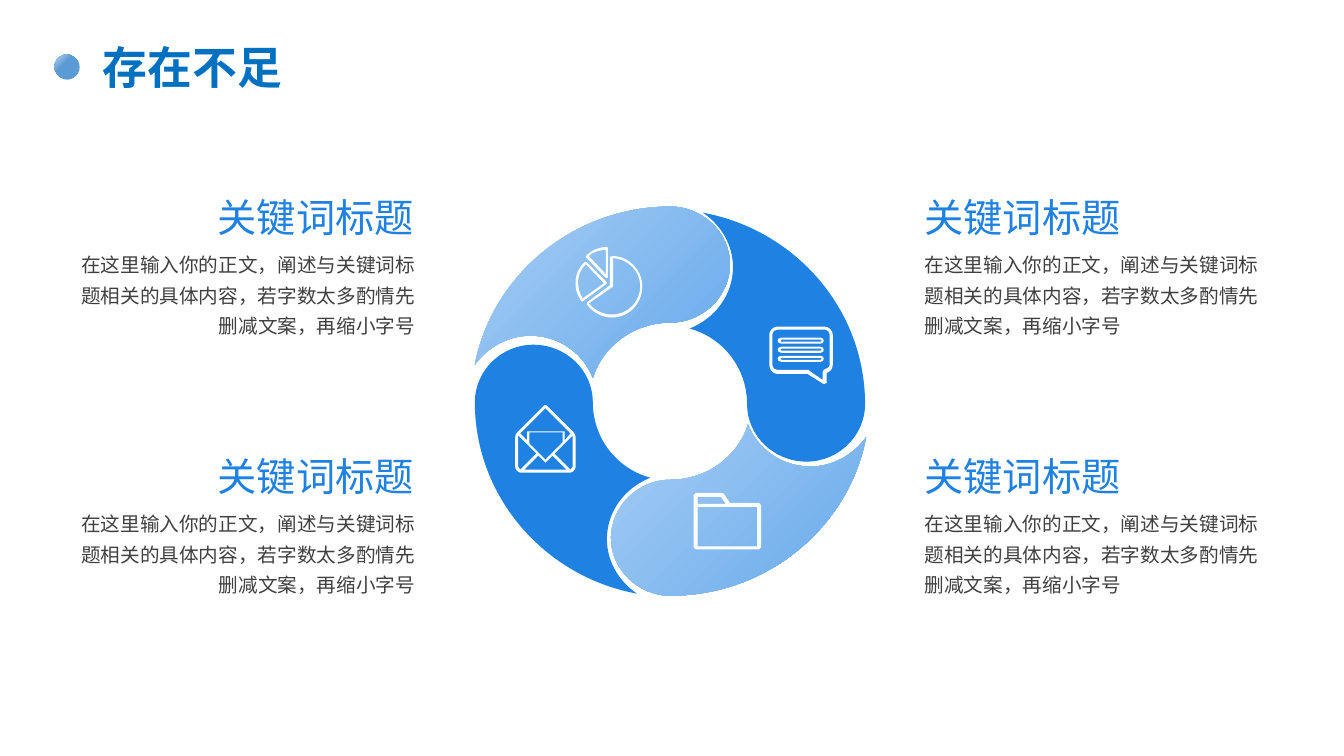
from lxml.etree import SubElement
from pptx import Presentation
from pptx.dml.color import RGBColor
from pptx.enum.shapes import MSO_SHAPE
from pptx.enum.text import MSO_ANCHOR, MSO_AUTO_SIZE, PP_ALIGN
from pptx.oxml.ns import qn
from pptx.util import Pt

PX = 9144  # EMU per px, 100 px to the inch
SLIDE_W, SLIDE_H = 1333, 750
FONT = "Noto Sans CJK SC"
COLORS = {
    "title": "0070C0", "accent": "1F81E2", "body": "404040", "icon": "FFFFFF",
    "pale": "A6CDF4", "sky": "6BACEC", "dot_pale": "BDD7EE", "dot": "5B9BD5",
}
DOT_STOPS = [(0, "dot_pale"), (38, "dot"), (85, "dot")]
PETAL_STOPS = [(6, "sky"), (100, "pale")]

TITLE = "存在不足"
KEYWORD = "关键词标题"
DETAIL = "在这里输入你的正文，阐述与关键词标题相关的具体内容，若字数太多酌情先删减文案，再缩小字号"
# heading left, heading width, detail left, detail alignment
COLUMNS = [(216, 216, 76, PP_ALIGN.RIGHT), (917, 229, 917, PP_ALIGN.LEFT)]
ROW_TOPS = [192, 449]
DETAIL_DROP, DETAIL_W, DETAIL_H, HEADING_H = 52, 336, 90, 42

# In a contour, a pair is a straight line's end and six numbers are a Bezier curve.
BOTTOM_PETAL = [
    (665, 476), (633, 476, 606, 502, 606, 534), (606, 565, 633, 591, 665, 591),
    (761, 591, 842, 523, 859, 434), (847, 451, 826, 463, 804, 463),
    (775, 463, 751, 445, 742, 421), (732, 453, 701, 476, 665, 476)]
LEFT_PETAL = [
    (588, 399), (588, 368, 562, 342, 529, 342), (497, 342, 471, 368, 471, 399),
    (471, 493, 540, 572, 632, 589), (614, 577, 602, 557, 602, 535),
    (602, 507, 620, 484, 645, 474), (612, 465, 588, 435, 588, 399)]
# petal, sum of its coordinates and those of its half-turned partner, gradient or not
PETAL_PAIRS = [(BOTTOM_PETAL, (1330, 796), True), (LEFT_PETAL, (1329, 800), False)]

ENVELOPE = [
    [(540, 402), (513, 429), (512, 430, 511, 432, 511, 434), (511, 463),
     (511, 466, 514, 469, 517, 469), (565, 469), (568, 469, 571, 466, 571, 463),
     (571, 434), (571, 432, 570, 430, 569, 429), (542, 402)],
    [(568, 434), (568, 463), (566, 466), (550, 450), (568, 432)],
    [(514, 463), (514, 432), (532, 450), (516, 466)],
    [(525, 429), (558, 429), (558, 439), (541, 456), (525, 440)],
    [(566, 430), (560, 437), (560, 428), (523, 428), (523, 437), (516, 430), (541, 405)],
    [(534, 452), (540, 458), (541, 459), (542, 458), (548, 452), (562, 466), (520, 466)],
]
BUBBLE = [
    [(818, 324), (771, 324), (767, 324, 763, 328, 763, 332), (763, 362),
     (763, 367, 767, 371, 771, 371), (801, 371), (817, 381), (820, 380), (820, 370),
     (823, 369, 826, 366, 826, 362), (826, 332), (826, 328, 822, 324, 818, 324)],
    [(823, 362), (823, 364, 820, 366, 817, 367), (816, 369), (816, 377), (803, 368),
     (802, 367), (771, 367), (768, 367, 766, 365, 766, 362), (766, 332),
     (766, 329, 768, 327, 771, 327), (818, 327), (821, 327, 823, 329, 823, 332)],
]
TEXT_BAR = [
    [(814, 335), (775, 335), (770, 335, 770, 341, 775, 341), (814, 341),
     (818, 341, 818, 335, 814, 335)],
    [(814, 339), (775, 339), (774, 338), (775, 337), (814, 337), (815, 338)],
]
BAR_STEP = 9
FOLDER = [
    [(690, 545), (753, 545), (755, 543), (755, 501), (753, 499), (724, 499), (718, 490),
     (716, 489), (690, 489), (688, 491), (688, 543)],
    [(692, 493), (715, 493), (720, 500), (692, 500)],
    [(692, 509), (692, 503), (751, 503), (751, 542), (692, 542)],
]
SMALL_SLICE = [
    [(602, 276), (603, 275), (603, 246), (602, 245), (594, 245, 587, 248, 581, 254),
     (581, 255), (601, 276)],
    [(601, 272), (584, 254), (588, 250, 594, 248, 601, 248)],
]
LEFT_SLICE = [
    [(602, 281), (602, 280), (582, 260), (580, 260), (569, 270, 568, 286, 576, 298),
     (577, 299), (578, 299), (601, 282)],
    [(578, 296), (571, 285, 572, 271, 581, 262), (599, 281)],
]
LARGE_SLICE = [
    [(607, 254), (624, 254, 637, 268, 637, 284), (637, 301, 624, 315, 607, 315),
     (597, 315, 588, 310, 582, 302), (582, 300), (605, 283), (605, 255)],
    [(608, 256), (623, 257, 635, 269, 635, 284), (635, 299, 623, 312, 607, 312),
     (598, 312, 590, 308, 584, 301), (607, 285), (608, 284)],
]


def moved_down(contours, dy):
    return [[tuple(v + dy * (i % 2) for i, v in enumerate(step)) for step in contour]
            for contour in contours]


def half_turned(contour, sums):
    return [tuple(sums[i % 2] - v for i, v in enumerate(step)) for step in contour]


def all_points(contour):
    """Every line end and curve control point, in EMU."""
    return [(step[i] * PX, step[i + 1] * PX)
            for step in contour for i in range(0, len(step), 2)]


def bend_curves(shape, contours):
    """Join the three segments that stand for each curve into one Bezier segment."""
    outline = shape.element.spPr.find(".//" + qn("a:path"))
    segments = iter(list(outline))
    for contour in contours:
        next(segments)  # move to the start
        for step in contour[1:]:
            segment = next(segments)
            if len(step) == 6:
                segment.tag = qn("a:cubicBezTo")
                for _ in range(2):
                    extra = next(segments)
                    segment.append(extra[0])
                    outline.remove(extra)
        next(segments)  # close


def paint(shape, color):
    shape.shadow.inherit = False
    shape.line.fill.background()
    shape.fill.solid()
    shape.fill.fore_color.rgb = RGBColor.from_string(COLORS[color])


def paint_radial(shape, stops, corner):
    """Fill with a circular gradient that starts at the corner given by two sides."""
    paint(shape, stops[0][1])
    solid = shape.element.spPr.find(qn("a:solidFill"))
    gradient = solid.makeelement(qn("a:gradFill"), {"rotWithShape": "1"})
    stop_list = SubElement(gradient, qn("a:gsLst"))
    for percent, color in stops:
        stop = SubElement(stop_list, qn("a:gs"), pos=str(percent * 1000))
        SubElement(stop, qn("a:srgbClr"), val=COLORS[color])
    circle = SubElement(gradient, qn("a:path"), path="circle")
    SubElement(circle, qn("a:fillToRect"), {side: "100000" for side in corner})
    solid.getparent().replace(solid, gradient)


def add_outline(shapes, contours, color):
    first, *holes = [all_points(contour) for contour in contours]
    builder = shapes.build_freeform(*first[0], scale=1.0)
    builder.add_line_segments(first[1:], close=True)
    for hole in holes:
        builder.move_to(*hole[0])
        builder.add_line_segments(hole[1:], close=True)
    shape = builder.convert_to_shape()
    bend_curves(shape, contours)
    paint(shape, color)
    return shape


def add_text(shapes, text, box, size, color, bold=False, align=PP_ALIGN.LEFT, spacing=None):
    frame = shapes.add_textbox(*(v * PX for v in box)).text_frame
    frame.word_wrap = True
    frame.margin_left = frame.margin_right = frame.margin_top = frame.margin_bottom = 0
    frame.text = text
    paragraph = frame.paragraphs[0]
    paragraph.alignment = align
    paragraph.line_spacing = spacing
    run = paragraph.runs[0]
    run.font.size = Pt(size)
    run.font.bold = bold
    run.font.color.rgb = RGBColor.from_string(COLORS[color])
    run.font.name = FONT
    SubElement(run.font._element, qn("a:ea"), typeface=FONT)
    return frame


def main():
    deck = Presentation()
    deck.slide_width, deck.slide_height = SLIDE_W * PX, SLIDE_H * PX
    shapes = deck.slides.add_slide(deck.slide_layouts[6]).shapes

    dot = shapes.add_shape(MSO_SHAPE.OVAL, *(v * PX for v in (54, 54, 25, 25)))
    paint_radial(dot, DOT_STOPS, "rb")
    title = add_text(shapes, TITLE, (92, 40, 219, 59), 32, "title", bold=True, spacing=0.9)
    title.margin_left = title.margin_right = 10 * PX
    title.vertical_anchor = MSO_ANCHOR.MIDDLE

    for petal, sums, shaded in PETAL_PAIRS:
        for contour in (petal, half_turned(petal, sums)):
            shape = add_outline(shapes, [contour], "accent")
            if shaded:
                paint_radial(shape, PETAL_STOPS, "lt")

    for heading_left, heading_w, detail_left, align in COLUMNS:
        for top in ROW_TOPS:
            add_text(shapes, KEYWORD, (heading_left, top, heading_w, HEADING_H), 28, "accent")
            detail = add_text(shapes, DETAIL, (detail_left, top + DETAIL_DROP, DETAIL_W, DETAIL_H),
                              14, "body", align=align, spacing=1.3)
            detail.auto_size = MSO_AUTO_SIZE.SHAPE_TO_FIT_TEXT

    add_outline(shapes, ENVELOPE, "icon")
    add_outline(shapes, FOLDER, "icon")
    bars = [moved_down(TEXT_BAR, row * BAR_STEP) for row in range(3)]
    for parts in ([BUBBLE, *bars], [SMALL_SLICE, LEFT_SLICE, LARGE_SLICE]):
        icon = shapes.add_group_shape()
        for part in parts:
            add_outline(icon.shapes, part, "icon")

    deck.save("out.pptx")


if __name__ == "__main__":
    main()
